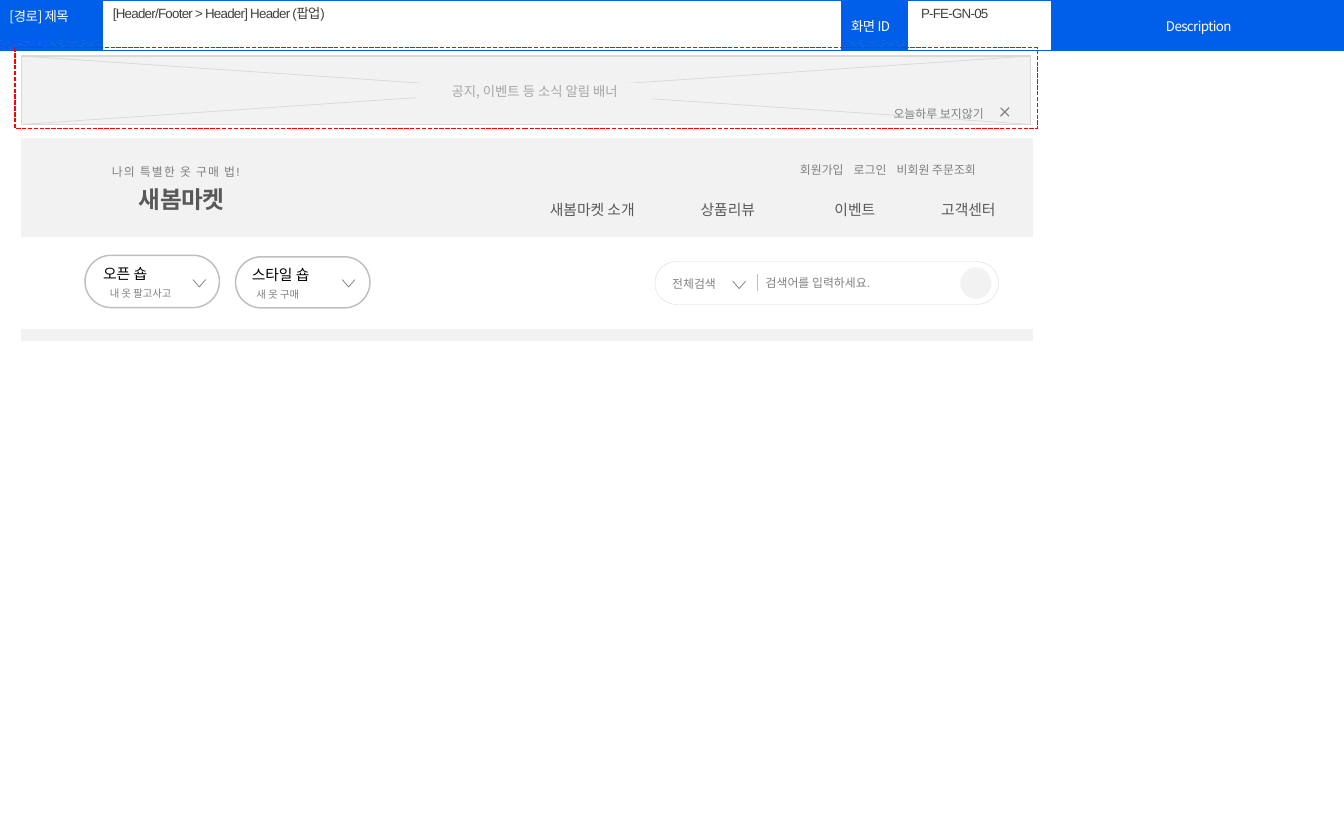
"""Build the storyboard slide for the shop header with its notice banner."""
import dataclasses

import pptx
import pptx.dml.color
import pptx.enum.dml
import pptx.enum.shapes
import pptx.enum.text
import pptx.oxml.ns
import pptx.util
from lxml import etree

Pt = pptx.util.Pt
SHAPE = pptx.enum.shapes.MSO_SHAPE
ALIGN = pptx.enum.text.PP_ALIGN
ANCHOR = pptx.enum.text.MSO_ANCHOR
qn = pptx.oxml.ns.qn
NO_STYLE = "{2D5ABB26-0587-4C30-8999-92F81FD0307C}"


@dataclasses.dataclass(frozen=True)
class Theme:
    """Hold the colours, fonts and type sizes."""
    blue: str = "005FEA"
    red: str = "FF0000"
    white: str = "FFFFFF"
    black: str = "000000"
    ink: str = "404040"
    dark: str = "595959"
    mid: str = "808080"
    soft: str = "A6A6A6"
    edge: str = "BFBFBF"
    rule: str = "D9D9D9"
    pale: str = "F2F2F2"
    latin: str = "Arial"
    menu: str = "Calibri"
    korean: str = "Noto Sans CJK KR"
    logo: float = 16
    item: float = 10
    head: float = 9
    small: float = 8
    tiny: float = 7


T = Theme()
SMALL = dict(size=T.small, color=T.mid)
TINY = dict(size=T.tiny, color=T.mid, alignment=ALIGN.CENTER, line_spacing=1.5)
ITEM = dict(size=T.item, color=T.black)
MENU = dict(size=T.item, color=T.dark, name=T.menu, alignment=ALIGN.RIGHT)
HEAD = dict(size=T.head, color=T.ink, spacing=-50, line_spacing=0.9)
BAR = dict(size=T.head, color=T.white, name=T.korean, spacing=-40)


def rgb(value):
    """Return a colour from its hex value."""
    return pptx.dml.color.RGBColor.from_string(value)


def write(tf, words, size, color, name=T.latin, bold=False, spacing=0, tabs=(), **form):
    """Write one formatted paragraph in a text frame."""
    p = tf.paragraphs[0]
    for key, value in form.items():
        setattr(p, key, value)
    if tabs:
        stops = etree.SubElement(p._p.get_or_add_pPr(), qn("a:tabLst"))
        for stop in tabs:
            etree.SubElement(stops, qn("a:tab"), pos=str(Pt(stop)), algn="l")
    r = p.add_run()
    r.text = words
    for key, value in dict(size=Pt(size), bold=bold, name=name).items():
        setattr(r.font, key, value)
    r.font.color.rgb = rgb(color)
    rpr = r._r.get_or_add_rPr()
    rpr.set("spc", str(spacing))
    etree.SubElement(rpr, qn("a:ea"), typeface=T.korean)


def frame(tf, **values):
    """Set the layout of a text frame."""
    for key, value in dict(word_wrap=True, **values).items():
        setattr(tf, key, value)


def label(s, left, top, width, height, words, style, anchor=ANCHOR.TOP):
    """Add a text box."""
    tf = s.shapes.add_textbox(Pt(left), Pt(top), Pt(width), Pt(height)).text_frame
    frame(tf, vertical_anchor=anchor)
    write(tf, words, **style)


def paint(sp, fill=None, line=None, weight=1):
    """Set fill and outline and drop the shadow."""
    sp.shadow.inherit = False
    if fill:
        sp.fill.solid()
        sp.fill.fore_color.rgb = rgb(fill)
    else:
        sp.fill.background()
    if line:
        sp.line.color.rgb = rgb(line)
        sp.line.width = Pt(weight)
    else:
        sp.line.fill.background()


def box(shapes, kind, left, top, width, height, **look):
    """Add a preset shape."""
    sp = shapes.add_shape(kind, Pt(left), Pt(top), Pt(width), Pt(height))
    if kind == SHAPE.ROUNDED_RECTANGLE:
        sp.adjustments[0] = 0.5
    paint(sp, **look)
    return sp


def rule(shapes, x1, y1, x2, y2, color):
    """Add a thin straight line."""
    cn = shapes.add_connector(pptx.enum.shapes.MSO_CONNECTOR.STRAIGHT,
                              Pt(x1), Pt(y1), Pt(x2), Pt(y2))
    cn.line.color.rgb = rgb(color)
    cn.line.width = Pt(0.5)
    etree.SubElement(cn._element.spPr, qn("a:effectLst"))


def icon(s, strokes, weight):
    """Draw open strokes as one outline."""
    strokes = [[(Pt(x), Pt(y)) for x, y in stroke] for stroke in strokes]
    fb = s.shapes.build_freeform(*strokes[0][0])
    for i, stroke in enumerate(strokes):
        if i:
            fb.move_to(*stroke[0])
        fb.add_line_segments(stroke[1:], close=False)
    paint(fb.convert_to_shape(), line=T.mid, weight=weight)


def chevron(s, left, top):
    """Draw a drop-down arrow."""
    icon(s, [[(left, top), (left + 4.3, top + 5), (left + 8.6, top)]], 0.5)


def border(cell, color):
    """Outline a cell on all four sides."""
    tcpr = cell._tc.get_or_add_tcPr()
    for i, side in enumerate(("a:lnL", "a:lnR", "a:lnT", "a:lnB")):
        ln = etree.Element(qn(side), w=str(Pt(1)))
        fill = etree.SubElement(ln, qn("a:solidFill"))
        etree.SubElement(fill, qn("a:srgbClr"), val=color)
        tcpr.insert(i, ln)


def grid(s, left, top, widths, height, cells, line=None, inset=(7.2, 7.2)):
    """Add a one-row table from (words, fill, style, anchor) cells."""
    gf = s.shapes.add_table(1, len(widths), Pt(left), Pt(top), Pt(sum(widths)), Pt(height))
    tbl = gf.table
    tbl.first_row = tbl.horz_banding = False
    tbl._tbl.tblPr.find(qn("a:tableStyleId")).text = NO_STYLE
    tbl.rows[0].height = Pt(height)
    for i, (words, fill, style, anchor) in enumerate(cells):
        tbl.columns[i].width = Pt(widths[i])
        cell = tbl.cell(0, i)
        cell.vertical_anchor = anchor
        if fill:
            cell.fill.solid()
            cell.fill.fore_color.rgb = rgb(fill)
        else:
            cell.fill.background()
        if line:
            border(cell, line)
        if words:
            cell.margin_left, cell.margin_right = map(Pt, inset)
            write(cell.text_frame, words, **style)
        else:
            cell.margin_top = cell.margin_bottom = 0
            cell.text_frame.paragraphs[0]._p.get_or_add_endParaRPr().set("sz", "100")


def top_bar(s):
    """Build the blue title bar."""
    empty = ("", None, None, ANCHOR.MIDDLE)
    grid(s, 0, 0.5, [69.3, 498.9, 44.2, 97.2, 198.4], 33.4, [
        ("[경로] 제목", T.blue, BAR, ANCHOR.TOP), empty,
        ("화면 ID", T.blue, BAR, ANCHOR.MIDDLE), empty,
        ("Description", T.blue, dict(BAR, alignment=ALIGN.CENTER), ANCHOR.MIDDLE)],
        T.blue, (6.3, 5.8))
    sp = s.shapes.title
    for key, value in dict(left=614.4, top=0.7, width=95, height=18).items():
        setattr(sp, key, Pt(value))
    frame(sp.text_frame, vertical_anchor=ANCHOR.MIDDLE, margin_left=Pt(7.2))
    write(sp.text_frame, "P-FE-GN-05", alignment=ALIGN.LEFT, **HEAD)
    label(s, 69.1, 0, 497.5, 18.7, "[Header/Footer > Header] Header (팝업)", HEAD, ANCHOR.MIDDLE)


def site_header(s):
    """Build the logo, member links and menu."""
    grid(s, 14, 93, [683.3], 67, [("", T.pale, None, ANCHOR.TOP)])
    label(s, 70.5, 121, 104.4, 27, "새봄마켓",
          dict(size=T.logo, color=T.dark, bold=True, spacing=-30, alignment=ALIGN.CENTER))
    label(s, 68.4, 107.7, 142.5, 17, "나의 특별한 옷 구매 법!", dict(SMALL, spacing=80))
    label(s, 532.8, 101.5, 148, 20, "회원가입\t로그인\t비회원 주문조회",
          dict(SMALL, line_spacing=1.5, tabs=(36.3, 65.3)))
    menu = ("새봄마켓 소개", "상품리뷰", "이벤트", "고객센터")
    grid(s, 354.3, 130.3, [81.2] * 4, 21.7, [(m, None, MENU, ANCHOR.MIDDLE) for m in menu])


def shop_row(s):
    """Build the two shop buttons and the search field."""
    pill = SHAPE.ROUNDED_RECTANGLE
    box(s.shapes, pill, 57.4, 172.3, 90.7, 35.3, line=T.edge)
    box(s.shapes, pill, 159, 173.3, 90.7, 34.5, fill=T.white, line=T.edge)
    label(s, 62.5, 175.2, 60, 19.5, "오픈 숍", ITEM)
    label(s, 162.9, 175.9, 66, 19.5, "스타일 숍", ITEM)
    label(s, 51, 186.2, 87.8, 18, "내 옷 팔고사고", TINY)
    label(s, 159.5, 186.8, 56, 18, "새 옷 구매", TINY)
    box(s.shapes, pill, 442, 176.5, 232, 29, fill=T.white, line=T.rule, weight=0.25)
    label(s, 446.6, 183.2, 56, 17, "전체검색", SMALL)
    label(s, 509.7, 182.6, 105, 17, "검색어를 입력하세요.", SMALL)
    rule(s.shapes, 511.2, 185, 511.2, 196.6, T.edge)
    box(s.shapes, SHAPE.OVAL, 647.5, 180, 22.3, 22.3, fill=T.pale, line=T.white)
    for left, top in ((130.2, 188.7), (231, 188.7), (494.6, 189.8)):
        chevron(s, left, top)
    grid(s, 14.4, 222, [683.1], 8.2, [("", T.pale, None, ANCHOR.TOP)])


def banner(s):
    """Build the notice banner and its dashed marker."""
    left, top, right, bottom = 14.4, 37.8, 695.5, 84
    shapes = s.shapes.add_group_shape().shapes
    box(shapes, SHAPE.RECTANGLE, left, top, right - left, bottom - top, fill=T.pale, line=T.rule)
    rule(shapes, left, top, right, bottom, T.rule)
    rule(shapes, right, top, left, bottom, T.rule)
    sp = box(shapes, SHAPE.RECTANGLE, 280.6, 56, 160.5, 11, fill=T.pale)
    frame(sp.text_frame, vertical_anchor=ANCHOR.MIDDLE,
          margin_left=0, margin_right=0, margin_top=0, margin_bottom=0)
    write(sp.text_frame, "공지, 이벤트 등 소식 알림 배너", T.head, T.soft, T.korean,
          alignment=ALIGN.CENTER)
    label(s, 596, 64, 91.5, 20, "오늘하루 보지않기", dict(SMALL, line_spacing=1.5))
    icon(s, [[(681, 72.7), (675.3, 78.4)], [(675.3, 72.7), (681, 78.4)]], 0.75)
    sp = box(s.shapes, SHAPE.RECTANGLE, 10, 32.2, 690.3, 54.5, line=T.red)
    sp.line.dash_style = pptx.enum.dml.MSO_LINE.SQUARE_DOT


def main():
    """Build and save the slide."""
    prs = pptx.Presentation()
    prs.slide_width, prs.slide_height = Pt(907.09), Pt(566.93)
    s = prs.slides.add_slide(prs.slide_layouts[5])
    for build in (top_bar, site_header, shop_row, banner):
        build(s)
    prs.save("out.pptx")


if __name__ == "__main__":
    main()
